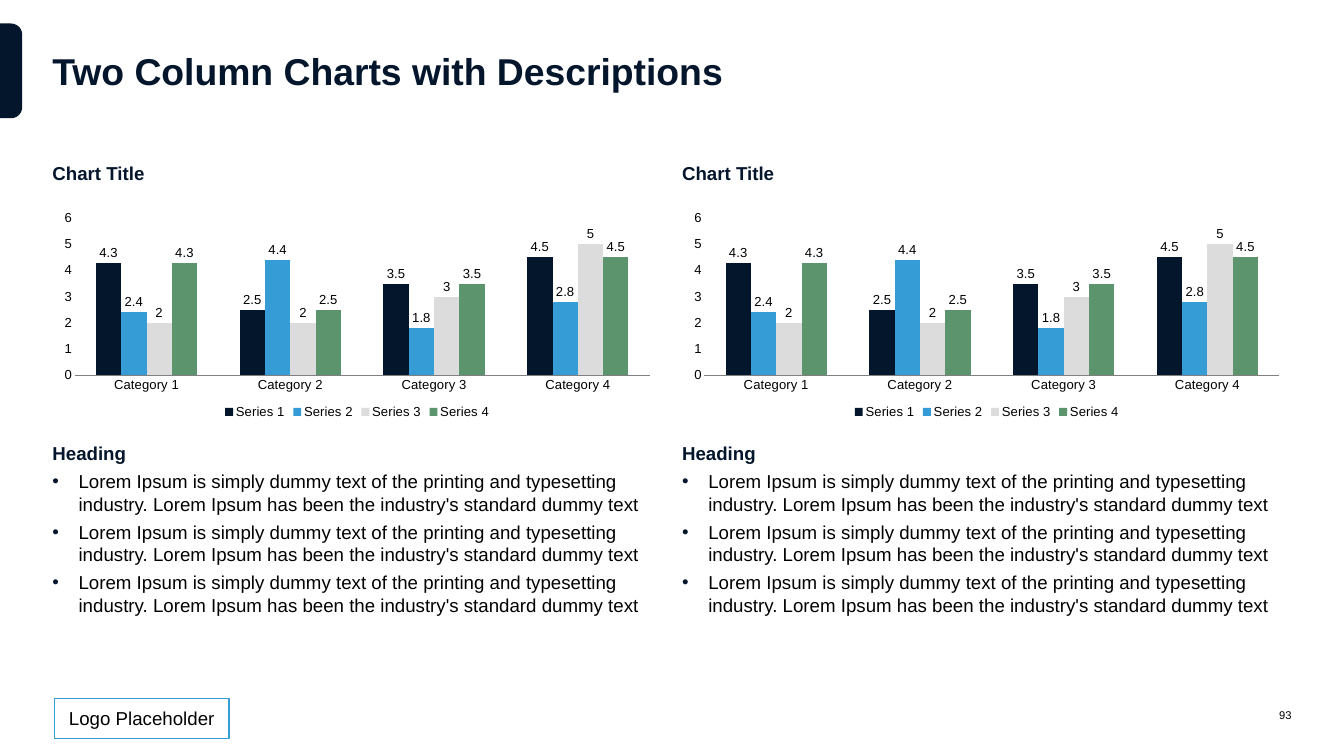
from lxml.etree import SubElement
from pptx import Presentation
from pptx.chart.data import CategoryChartData
from pptx.dml.color import RGBColor
from pptx.enum.chart import XL_CHART_TYPE, XL_LABEL_POSITION, XL_LEGEND_POSITION, XL_TICK_MARK
from pptx.enum.shapes import MSO_SHAPE
from pptx.enum.text import MSO_ANCHOR, PP_ALIGN
from pptx.oxml.ns import qn
from pptx.util import Inches, Pt

NAVY = RGBColor(0x04, 0x16, 0x2B)
BLUE = RGBColor(0x35, 0x9C, 0xD5)
SILVER = RGBColor(0xDC, 0xDC, 0xDC)
GREEN = RGBColor(0x5C, 0x94, 0x6E)
GRAY = RGBColor(0x80, 0x80, 0x80)
BLACK = RGBColor(0, 0, 0)
WHITE = RGBColor(0xFF, 0xFF, 0xFF)

FONT = "Arial"
INDENT = Inches(0.39)
SENTENCE = ("Lorem Ipsum is simply dummy text of the printing and typesetting industry. "
            "Lorem Ipsum has been the industry's standard dummy text")
CATEGORIES = [f"Category {number}" for number in range(1, 5)]
SERIES = [
    ("Series 1", (4.3, 2.5, 3.5, 4.5), NAVY),
    ("Series 2", (2.4, 4.4, 1.8, 2.8), BLUE),
    ("Series 3", (2, 2, 3, 5), SILVER),
    ("Series 4", (4.3, 2.5, 3.5, 4.5), GREEN),
]

# The grid has 100 columns and 100 rows
MARGIN = 3.9
HALF = 45.35
LEFT_EDGES = (MARGIN, 100 - MARGIN - HALF)


def set_font(font, size, color=BLACK, bold=False):
    font.name, font.size, font.bold = FONT, Pt(size), bold
    font.color.rgb = color


def add_bullet(para):
    properties = para._p.get_or_add_pPr()
    properties.set("marL", str(INDENT))
    properties.set("indent", str(-INDENT))
    color = SubElement(properties, qn("a:buClr"))
    SubElement(color, qn("a:srgbClr"), val=str(NAVY))
    SubElement(properties, qn("a:buFont"), typeface=FONT)
    SubElement(properties, qn("a:buChar"), char="•")


def write(frame, text, size=20, color=BLACK, bold=False, align=PP_ALIGN.LEFT,
          bullet=False, before=0, after=0):
    """Write one paragraph, using the empty first one if there is one."""
    para = frame.paragraphs[0]
    if para.runs:
        para = frame.add_paragraph()
    if bullet:
        add_bullet(para)
    para.alignment = align
    if before:
        para.space_before = Pt(before)
    if after:
        para.space_after = Pt(after)
    span = para.add_run()
    span.text = text
    set_font(span.font, size, color, bold)


class SlideBuilder:
    def __init__(self, deck):
        self.deck = deck
        self.page = deck.slides.add_slide(deck.slide_layouts[6])

    def place(self, left, top, width, height):
        """Turn columns and rows into slide lengths."""
        column, row = self.deck.slide_width / 100, self.deck.slide_height / 100
        return [round(length) for length in
                (left * column, top * row, width * column, height * row)]

    def text_box(self, *area, anchor=MSO_ANCHOR.TOP):
        frame = self.page.shapes.add_textbox(*self.place(*area)).text_frame
        frame.word_wrap = True
        frame.vertical_anchor = anchor
        frame.margin_left = frame.margin_right = 0
        frame.margin_top = frame.margin_bottom = 0
        return frame

    def shape(self, kind, *area, fill, line=None):
        shape = self.page.shapes.add_shape(kind, *self.place(*area))
        shape.shadow.inherit = False
        shape.fill.solid()
        shape.fill.fore_color.rgb = fill
        if line is None:
            shape.line.fill.background()
        else:
            shape.line.color.rgb = line
            shape.line.width = Pt(1.5)
        return shape

    def column_chart(self, *area):
        data = CategoryChartData()
        data.categories = CATEGORIES
        for name, values, _ in SERIES:
            data.add_series(name, values)
        chart = self.page.shapes.add_chart(
            XL_CHART_TYPE.COLUMN_CLUSTERED, *self.place(*area), data).chart
        set_font(chart.font, 14)
        chart.has_title = False
        chart.has_legend = True
        chart.legend.position = XL_LEGEND_POSITION.BOTTOM
        chart.legend.include_in_layout = False
        set_font(chart.legend.font, 14)

        # Axes
        for axis in (chart.category_axis, chart.value_axis):
            axis.major_tick_mark = axis.minor_tick_mark = XL_TICK_MARK.NONE
            axis.has_major_gridlines = False
            set_font(axis.tick_labels.font, 14)
        chart.category_axis.format.line.color.rgb = GRAY
        chart.category_axis.format.line.width = Pt(0.75)
        chart.value_axis.format.line.fill.background()
        chart.value_axis.minimum_scale = 0
        chart.value_axis.maximum_scale = 6
        chart.value_axis.major_unit = 1

        # Columns and their labels
        plot = chart.plots[0]
        plot.gap_width = 168
        plot.overlap = 0
        plot.vary_by_categories = False
        for series, (_, _, color) in zip(plot.series, SERIES):
            series.format.fill.solid()
            series.format.fill.fore_color.rgb = color
            labels = series.data_labels
            labels.show_value = True
            labels.position = XL_LABEL_POSITION.OUTSIDE_END
            set_font(labels.font, 14)


def main():
    deck = Presentation()
    deck.slide_width, deck.slide_height = Inches(20), Inches(11.25)
    slide = SlideBuilder(deck)

    # Rounded tab on the left edge
    tab = slide.shape(MSO_SHAPE.ROUND_2_SAME_RECTANGLE, -2.7, 7.91, 7.05, 2.93, fill=NAVY)
    tab.adjustments[0] = 0.5
    tab.rotation = 90

    # Title
    title = slide.text_box(MARGIN, 3.11, 100 - 2 * MARGIN, 12.36, anchor=MSO_ANCHOR.MIDDLE)
    write(title, "Two Column Charts with Descriptions", size=40, color=NAVY, bold=True)

    # Two halves: chart title, chart, description
    for left in LEFT_EDGES:
        caption = slide.text_box(left, 21.33, 43.6, 3.02, anchor=MSO_ANCHOR.BOTTOM)
        write(caption, "Chart Title", color=NAVY, bold=True, after=3)
        slide.column_chart(left, 27.29, HALF, 28.53)
        description = slide.text_box(left, 58.49, HALF, 23.2)
        write(description, "Heading", color=NAVY, bold=True, after=3)
        for _ in range(3):
            write(description, SENTENCE, bullet=True, before=3, after=3)

    # Footer
    logo = slide.shape(MSO_SHAPE.RECTANGLE, 4.05, 92.36, 13, 5.33, fill=WHITE, line=BLUE)
    logo.text_frame.vertical_anchor = MSO_ANCHOR.MIDDLE
    write(logo.text_frame, "Logo Placeholder", align=PP_ALIGN.CENTER)
    number = slide.text_box(91.7, 92.36, 4.4, 4.53, anchor=MSO_ANCHOR.MIDDLE)
    write(number, "93", size=12, align=PP_ALIGN.RIGHT)

    deck.save("out.pptx")


if __name__ == "__main__":
    main()
